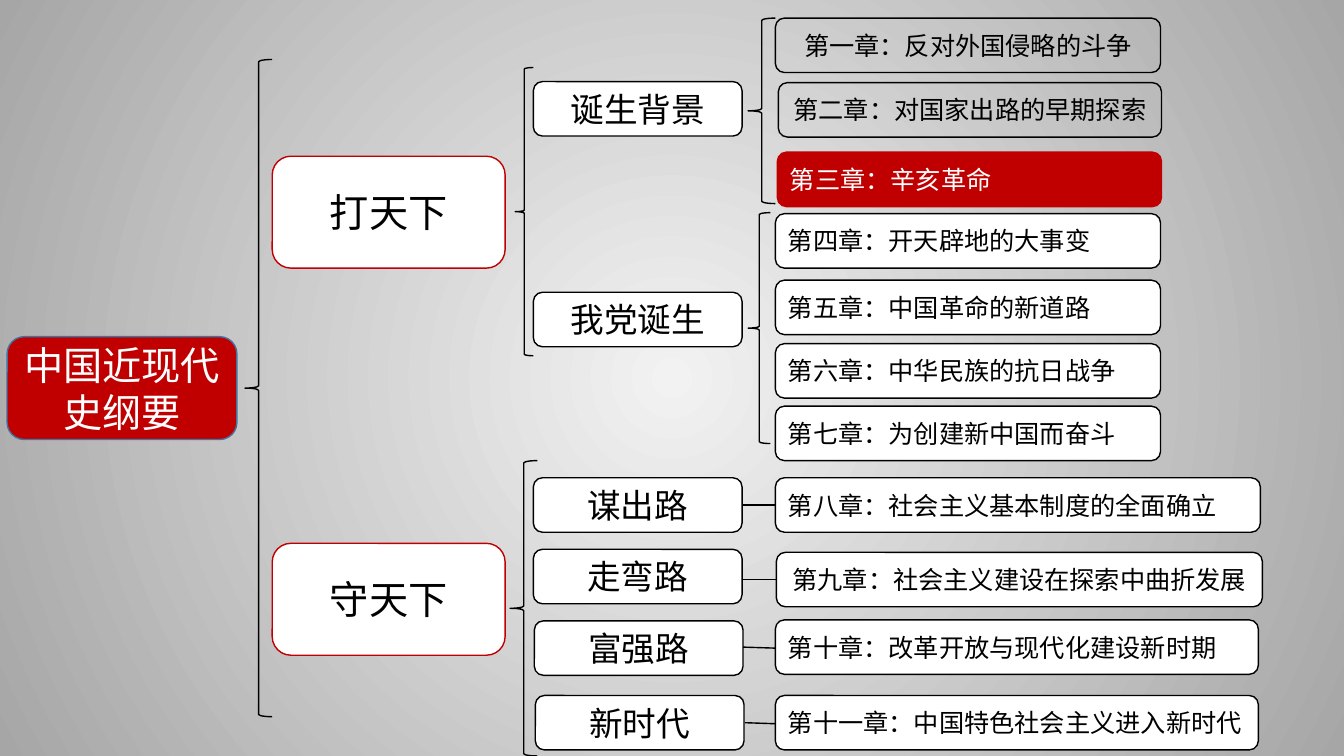
from lxml import etree
from pptx import Presentation
from pptx import util as u
from pptx.dml.color import RGBColor
from pptx.enum import shapes, text
from pptx.oxml.ns import qn

THEME = dict(
    font="Noto Sans CJK SC", red="C00000", blue="43739E", white="FFFFFF", black="000000",
    bg=("F2F2F2", "A6A6A6"), big=28, mid=24, small=18, line=1,
)
LEFT, CENTER = text.PP_ALIGN.LEFT, text.PP_ALIGN.CENTER
ROW_H = 0.54

# Content: text and position
ROOT = ("中国近现代史纲要", 0.07, 3.34, 2.28, 1.02)
STAGES = [("打天下", 1.55), ("守天下", 5.39)]
TOPICS = [  # text, left, top
    ("诞生背景", 5.29, 0.81), ("我党诞生", 5.29, 2.9),
    ("谋出路", 5.29, 4.74), ("走弯路", 5.29, 5.45),
    ("富强路", 5.3, 6.16), ("新时代", 5.31, 6.9),
]
CHAPTERS = [  # text, left, top, width, style
    ("第一章：反对外国侵略的斗争", 7.69, 0.18, 3.82, "clear"),
    ("第二章：对国家出路的早期探索", 7.72, 0.82, 3.8, "clear"),
    ("第三章：辛亥革命", 7.71, 1.51, 3.81, "current"),
    ("第四章：开天辟地的大事变", 7.69, 2.12, 3.82, "plain"),
    ("第五章：中国革命的新道路", 7.69, 2.78, 3.82, "plain"),
    ("第六章：中华民族的抗日战争", 7.69, 3.41, 3.82, "plain"),
    ("第七章：为创建新中国而奋斗", 7.69, 4.03, 3.82, "plain"),
    ("第八章：社会主义基本制度的全面确立", 7.69, 4.74, 4.81, "plain"),
    ("第九章：社会主义建设在探索中曲折发展", 7.7, 5.48, 4.82, "centered"),
    ("第十章：改革开放与现代化建设新时期", 7.69, 6.15, 4.79, "plain"),
    ("第十一章：中国特色社会主义进入新时代", 7.69, 6.9, 4.79, "plain"),
]
BRACES = [  # left, top, width, height
    (2.43, 0.59, 0.27, 6.52), (5.11, 0.67, 0.18, 2.86), (5.06, 4.57, 0.27, 2.93),
    (7.42, 0.18, 0.27, 1.84), (7.42, 2.11, 0.22, 2.29),
]
LINKS = [  # chapter end x, y, topic end x, y
    (7.69, 5.01, 7.36, 5.01), (7.7, 5.75, 7.37, 5.75),
    (7.69, 6.43, 7.37, 6.42), (7.69, 7.18, 7.39, 7.17),
]

# Box styles: fill, line, font colour, size, alignment
STYLES = {
    "root": ("red", "blue", "white", "big", CENTER),
    "stage": ("white", "red", "black", "big", CENTER),
    "topic": ("white", "black", "black", "mid", CENTER),
    "clear": (None, "black", "black", "small", CENTER),
    "current": ("red", "red", "white", "small", LEFT),
    "plain": ("white", "black", "black", "small", LEFT),
    "centered": ("white", "black", "black", "small", CENTER),
}


def rgb(name):
    return RGBColor.from_string(THEME[name])


def set_line(sp, color):
    sp.line.color.rgb = rgb(color)
    sp.line.width = u.Pt(THEME["line"])


def add_shape(s, kind, box, fill, line):
    sp = s.shapes.add_shape(kind, *map(u.Inches, box))
    sp.shadow.inherit = False
    if fill:
        sp.fill.solid()
        sp.fill.fore_color.rgb = rgb(fill)
    else:
        sp.fill.background()
    set_line(sp, line)
    return sp


def add_box(s, words, box, style):
    fill, line, color, size, align = STYLES[style]
    sp = add_shape(s, shapes.MSO_SHAPE.ROUNDED_RECTANGLE, box, fill, line)
    tf = sp.text_frame
    for key, value in dict(word_wrap=True, vertical_anchor=text.MSO_ANCHOR.MIDDLE).items():
        setattr(tf, key, value)
    p = tf.paragraphs[0]
    p.alignment = align
    r = p.add_run()
    r.text = words
    for key, value in dict(size=u.Pt(THEME[size]), name=THEME["font"]).items():
        setattr(r.font, key, value)
    r.font.color.rgb = rgb(color)
    ea = etree.SubElement(r.font._element, qn("a:ea"))
    ea.set("typeface", THEME["font"])


def add_link(s, ends):
    cn = s.shapes.add_connector(shapes.MSO_CONNECTOR.STRAIGHT, *map(u.Inches, ends))
    set_line(cn, "black")
    etree.SubElement(cn.element.spPr, qn("a:effectLst"))


def set_background(s):
    fill = s.background.fill
    fill.gradient()
    for stop, color in zip(fill.gradient_stops, THEME["bg"]):
        stop.color.rgb = RGBColor.from_string(color)
    grad = next(s.element.iter(qn("a:gradFill")))
    for lin in grad.findall(qn("a:lin")):
        grad.remove(lin)
    circle = etree.SubElement(grad, qn("a:path"))
    circle.set("path", "circle")
    center = etree.SubElement(circle, qn("a:fillToRect"))
    for side in "ltrb":
        center.set(side, "50000")


def main():
    prs = Presentation()
    prs.slide_width, prs.slide_height = u.Inches(13.33), u.Inches(7.5)
    s = prs.slides.add_slide(prs.slide_layouts[6])
    set_background(s)

    # Tree boxes, from root to chapters
    add_box(s, ROOT[0], ROOT[1:], "root")
    for words, top in STAGES:
        add_box(s, words, (2.7, top, 2.31, 1.11), "stage")
    for words, left, top in TOPICS:
        add_box(s, words, (left, top, 2.07, ROW_H), "topic")
    for words, left, top, width, style in CHAPTERS:
        add_box(s, words, (left, top, width, ROW_H), style)

    # Braces and links
    for box in BRACES:
        add_shape(s, shapes.MSO_SHAPE.LEFT_BRACE, box, None, "black")
    for ends in LINKS:
        add_link(s, ends)

    prs.save("out.pptx")


if __name__ == "__main__":
    main()
